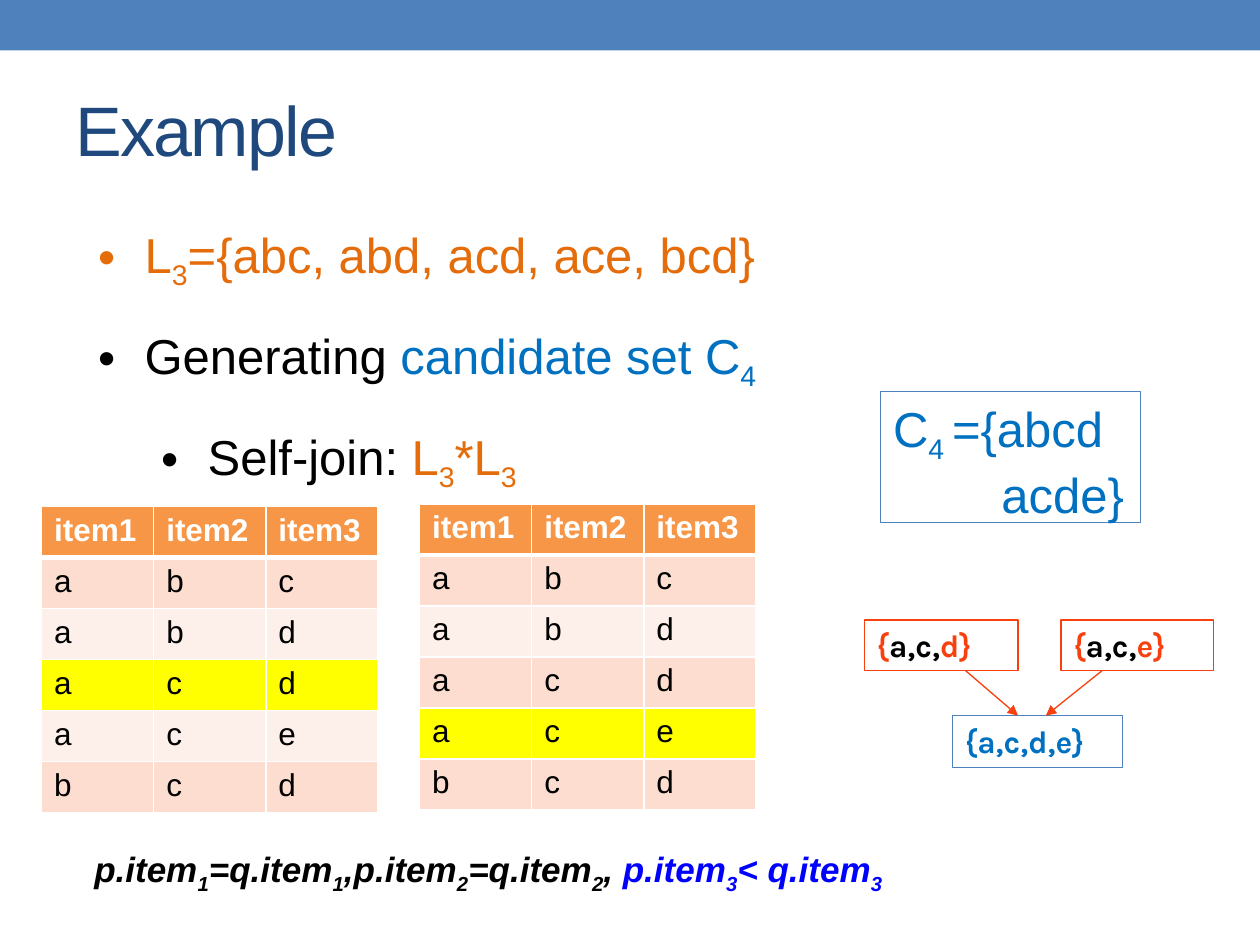
from lxml import etree
from pptx import Presentation
from pptx.dml.color import RGBColor
from pptx.enum.shapes import MSO_CONNECTOR, MSO_SHAPE
from pptx.enum.text import MSO_ANCHOR
from pptx.oxml.ns import qn
from pptx.util import Inches, Pt

RECTANGLE, STRAIGHT, TOP = MSO_SHAPE.RECTANGLE, MSO_CONNECTOR.STRAIGHT, MSO_ANCHOR.TOP

COLORS = {
    "band": "4F81BD", "title": "1F497D", "orange": "E46C0A", "blue": "0070C0",
    "black": "000000", "white": "FFFFFF", "red": "F8400E", "bright": "0000FF",
    "header": "F79646", "odd": "FCDDCF", "even": "FDEFE9", "marked": "FFFF00",
}

# A paragraph is a list of (text, colour) runs; _x_ marks a subscript.
TITLE = [("Example", "title")]
BULLETS = [
    (0.37, [("L_3_={abc, abd, acd, ace, bcd}", "orange")]),
    (0.37, [("Generating ", "black"), ("candidate set C_4_", "blue")]),
    (0.87, [("Self-join: ", "black"), ("L_3_*L_3_", "orange")]),
]
JOIN_RULE = [
    ("p.item_1_=q.item_1_,p.item_2_=q.item_2_, ", "black"),
    ("p.item_3_< q.item_3_", "bright"),
]
CANDIDATES = [[("C_4 _={abcd", "blue")], [("acde}", "blue")]]
JOIN_BOXES = [
    ((6.86, 4.92, 1.22, 0.4), "red", [("{", "red"), ("a,c,", "black"), ("d}", "red")]),
    ((8.42, 4.92, 1.21, 0.4), "red", [("{", "red"), ("a,c,", "black"), ("e}", "red")]),
    ((7.56, 5.68, 1.35, 0.41), "band", [("{a,c,d,e}", "blue")]),
]
JOIN_ARROWS = [((7.66, 5.32), (8.08, 5.68)), ((8.75, 5.32), (8.3, 5.68))]
ITEM_HEADER = ["item1", "item2", "item3"]
ITEMSETS = ["abc", "abd", "acd", "ace", "bcd"]
TABLES = [((0.33, 4.02), "acd"), ((3.33, 4.0), "ace")]
COLUMN_WIDTH, ROW_HEIGHT = 0.89, 0.405


def rgb(name):
    return RGBColor.from_string(COLORS[name])


def write(paragraph, runs, **font):
    """Add runs, with every second part between underscores as a subscript."""
    font = {"name": "Arial", **font}
    for text, color in runs:
        for index, part in enumerate(text.split("_")):
            if not part:
                continue
            run = paragraph.add_run()
            run.text = part
            for key, value in font.items():
                setattr(run.font, key, value)
            run.font.color.rgb = rgb(color)
            if index % 2:
                run.font._element.set("baseline", "-25000")


def add_text(slide, box, wrap=True, top_inset=0.05):
    frame = slide.shapes.add_textbox(*map(Inches, box)).text_frame
    frame.word_wrap = wrap
    frame.margin_top = Inches(top_inset)
    return frame


def add_box(slide, box, fill=None, line=None):
    shape = slide.shapes.add_shape(RECTANGLE, *map(Inches, box))
    shape.shadow.inherit = False
    if fill:
        shape.fill.solid()
        shape.fill.fore_color.rgb = rgb(fill)
    else:
        shape.fill.background()
    if line:
        shape.line.color.rgb = rgb(line)
        shape.line.width = Pt(0.75)
    else:
        shape.line.fill.background()
    frame = shape.text_frame
    frame.word_wrap = False
    frame.vertical_anchor = TOP
    frame.paragraphs[0].alignment = 1
    return frame


def add_arrow(slide, start, end):
    arrow = slide.shapes.add_connector(STRAIGHT, *map(Inches, start + end))
    arrow.line.color.rgb = rgb("red")
    arrow.line.width = Pt(0.75)
    etree.SubElement(arrow.line._get_or_add_ln(), qn("a:tailEnd"), type="triangle")
    etree.SubElement(arrow._element.spPr, qn("a:effectLst"))


def set_borders(cell, **widths):
    properties = cell._tc.get_or_add_tcPr()
    for side in "LRTB":
        border = etree.SubElement(properties, qn(f"a:ln{side}"), w=str(Pt(widths.get(side, 1))))
        fill = etree.SubElement(border, qn("a:solidFill"))
        etree.SubElement(fill, qn("a:srgbClr"), val=COLORS["white"])


def add_itemsets(slide, corner, marked):
    rows = [ITEM_HEADER] + [list(itemset) for itemset in ITEMSETS]
    columns = len(ITEM_HEADER)
    size = (columns * COLUMN_WIDTH, len(rows) * ROW_HEIGHT)
    table = slide.shapes.add_table(len(rows), columns, *map(Inches, corner + size)).table
    for column in table.columns:
        column.width = Inches(COLUMN_WIDTH)
    for r, values in enumerate(rows):
        table.rows[r].height = Inches(ROW_HEIGHT)
        if r == 0:
            fill, borders = "header", {"B": 3}
        else:
            fill, borders = ("odd" if r % 2 else "even"), {"T": 3 if r == 1 else 1}
        if "".join(values) == marked:
            fill = "marked"
        for c, value in enumerate(values):
            cell = table.cell(r, c)
            set_borders(cell, **borders)
            cell.fill.solid()
            cell.fill.fore_color.rgb = rgb(fill)
            color = "black" if r else "white"
            write(cell.text_frame.paragraphs[0], [(value, color)], size=Pt(18), bold=r == 0)


def add_bullets(slide):
    frame = add_text(slide, (0.68, 1.53, 6.78, 2.81), top_inset=0.09)
    for index, (indent, runs) in enumerate(BULLETS):
        paragraph = frame.add_paragraph() if index else frame.paragraphs[0]
        properties = paragraph._p.get_or_add_pPr()
        properties.set("marL", str(Inches(indent)))
        properties.set("indent", str(Inches(-0.37)))
        etree.SubElement(properties, qn("a:buFont"), typeface="Arial")
        etree.SubElement(properties, qn("a:buChar"), char="•")
        paragraph.line_spacing = 1.3
        paragraph.space_before = Pt(8 if index else 0)
        write(paragraph, runs, size=Pt(28))


def add_candidates(slide):
    frame = add_box(slide, (6.99, 3.11, 2.06, 1.04), line="band")
    first, second = frame.paragraphs[0], frame.add_paragraph()
    second.alignment = first.alignment
    second._p.get_or_add_pPr().set("marL", str(Inches(0.86)))
    for paragraph, runs in zip((first, second), CANDIDATES):
        write(paragraph, runs, size=Pt(28))


def main():
    prs = Presentation()
    prs.slide_width, prs.slide_height = Inches(10), Inches(7.5)
    slide = prs.slides.add_slide(prs.slide_layouts[6])

    add_box(slide, (0, 0, 10, 0.4), fill="band")
    add_bullets(slide)
    title = add_text(slide, (0.5, 0.58, 9, 1.08), top_inset=0.11).paragraphs[0]
    write(title, TITLE, size=Pt(40))
    title.runs[0].font._element.set("spc", "-100")
    rule = add_text(slide, (0.65, 6.68, 6.62, 0.44), wrap=False).paragraphs[0]
    write(rule, JOIN_RULE, size=Pt(20), bold=True, italic=True)
    add_candidates(slide)
    for box, line, runs in JOIN_BOXES:
        paragraph = add_box(slide, box, line=line).paragraphs[0]
        write(paragraph, runs, name="Karla", size=Pt(18), bold=True)
    for start, end in JOIN_ARROWS:
        add_arrow(slide, start, end)
    for corner, marked in TABLES:
        add_itemsets(slide, corner, marked)
    prs.save("out.pptx")


if __name__ == "__main__":
    main()
